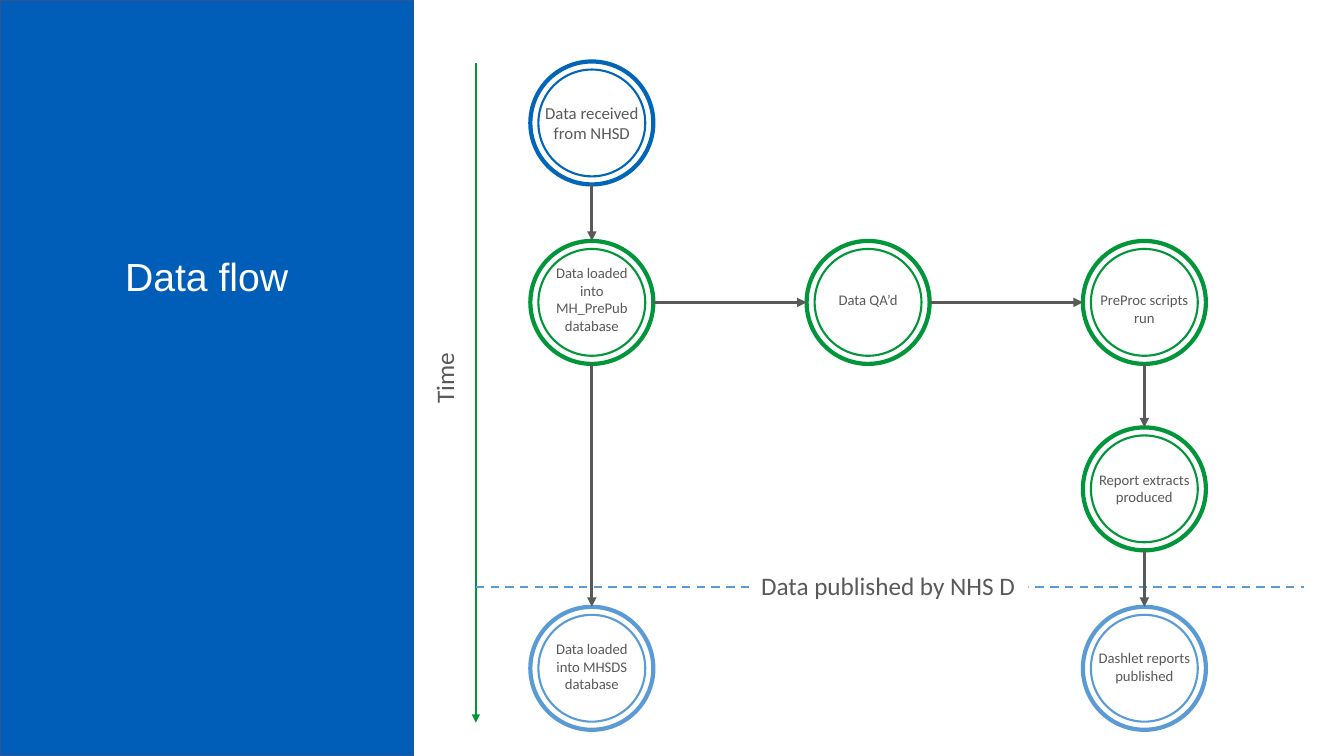
from lxml import etree
from pptx import Presentation
from pptx import util as u
from pptx.dml.color import RGBColor
from pptx.enum import dml, shapes, text
from pptx.oxml.ns import qn

PANEL = RGBColor(0x00, 0x5E, 0xB8)
PANEL_EDGE = RGBColor(0x32, 0x54, 0x91)
BLUE = RGBColor(0x01, 0x65, 0xB8)
GREEN = RGBColor(0x00, 0x96, 0x39)
SKY = RGBColor(0x5B, 0x9B, 0xD5)
GREY = RGBColor(0x59, 0x59, 0x59)
WHITE = RGBColor(0xFF, 0xFF, 0xFF)

# Content: label, column, row, colour, text size, lines, label top below circle top
STEPS = {
    "received": ("Data received from NHSD", 0, 0, BLUE, 12, 2, 0.36),
    "loaded": ("Data loaded into MH_PrePub database", 0, 1, GREEN, 10.5, 4, 0.18),
    "checked": ("Data QA’d", 1, 1, GREEN, 10.5, 1, 0.45),
    "scripts": ("PreProc scripts run", 2, 1, GREEN, 10.5, 2, 0.45),
    "extracts": ("Report extracts produced", 2, 2, GREEN, 10.5, 2, 0.38),
    "mhsds": ("Data loaded into MHSDS database", 0, 3, SKY, 10.5, 3, 0.28),
    "reports": ("Dashlet reports published", 2, 3, SKY, 10.5, 2, 0.37),
}
FLOWS = [("received", "loaded"), ("loaded", "mhsds"), ("loaded", "checked"),
         ("checked", "scripts"), ("scripts", "extracts"), ("extracts", "reports")]

# Grid of circle centres, in inches
W, H = 13.33, 7.5
COL_X = [5.87 + 2.74 * i for i in range(3)]
ROW_Y = [1.22, 3.0, 4.85, 6.63]
OUTER, INNER, LABEL_W = 1.22, 1.06, 1.14
RADIUS = OUTER / 2
AXIS_X, PUBLISH_Y = 4.72, 5.82

prs = Presentation()
prs.slide_width, prs.slide_height = u.Inches(W), u.Inches(H)
s = prs.slides.add_slide(prs.slide_layouts[6])


def inches(*values):
    return [u.Inches(v) for v in values]


def add_shape(kind, box, fill=None, line=None, width=1):
    sp = s.shapes.add_shape(kind, *inches(*box))
    sp.shadow.inherit = False
    for part, colour in ((sp.fill, fill), (sp.line.fill, line)):
        if colour is None:
            part.background()
        else:
            part.solid()
            part.fore_color.rgb = colour
    if line is not None:
        sp.line.width = u.Pt(width)
    return sp


def write(sp, words, size, colour=GREY, font="Calibri", wrap=True,
          align=text.PP_ALIGN.CENTER, anchor=text.MSO_ANCHOR.TOP):
    tf = sp.text_frame
    tf.word_wrap, tf.vertical_anchor = wrap, anchor
    p = tf.paragraphs[0]
    p.text, p.alignment = words, align
    p.font.size, p.font.name, p.font.color.rgb = u.Pt(size), font, colour
    return p


def add_line(start, end, colour, width, arrow=True):
    cx = s.shapes.add_connector(shapes.MSO_CONNECTOR.STRAIGHT, *inches(*start, *end))
    cx.line.color.rgb, cx.line.width = colour, u.Pt(width)
    if arrow:
        etree.SubElement(cx.line._get_or_add_ln(), qn("a:tailEnd"), type="triangle")
    etree.SubElement(cx._element.spPr, qn("a:effectLst"))
    return cx


def centre(step):
    return COL_X[STEPS[step][1]], ROW_Y[STEPS[step][2]]


# Title panel
add_shape(shapes.MSO_SHAPE.RECTANGLE, (0, 0, 4.1, H), PANEL, PANEL_EDGE)
title = s.shapes.add_textbox(*inches(0.43, 1.93, 3.24, 1.68))
p = write(title, "Data flow", 28, WHITE, "Arial", anchor=text.MSO_ANCHOR.MIDDLE)
p.line_spacing = 0.9

# Time axis
add_line((AXIS_X, 0.63), (AXIS_X, 7.17), GREEN, 1.5)
time = s.shapes.add_textbox(*inches(4.05, 3.55, 0.71, 0.4))
time.rotation = 270
write(time, "Time", 18, wrap=False, align=text.PP_ALIGN.LEFT)

# Publication line and its label
publish = add_line((AXIS_X, PUBLISH_Y), (12.93, PUBLISH_Y), SKY, 1.5, arrow=False)
publish.line.dash_style = dml.MSO_LINE.DASH
label = add_shape(shapes.MSO_SHAPE.RECTANGLE, (7.45, 5.61, 2.75, 0.4), WHITE)
write(label, "Data published by NHS D", 18, wrap=False, align=text.PP_ALIGN.LEFT)

# Steps: double ring and label
for step, (words, _, _, colour, size, lines, drop) in STEPS.items():
    x, y = centre(step)
    for d, width in ((OUTER, 3), (INNER, 1.5)):
        add_shape(shapes.MSO_SHAPE.OVAL, (x - d / 2, y - d / 2, d, d), None, colour, width)
    height = lines * size * 1.2 / 72 + 0.1
    box = s.shapes.add_textbox(*inches(x - LABEL_W / 2, y - RADIUS + drop, LABEL_W, height))
    write(box, words, size)

# Arrows run from edge to edge of the outer rings
for source, target in FLOWS:
    (x1, y1), (x2, y2) = centre(source), centre(target)
    dx, dy = (RADIUS, 0) if y1 == y2 else (0, RADIUS)
    add_line((x1 + dx, y1 + dy), (x2 - dx, y2 - dy), GREY, 2.25)

prs.save("out.pptx")
